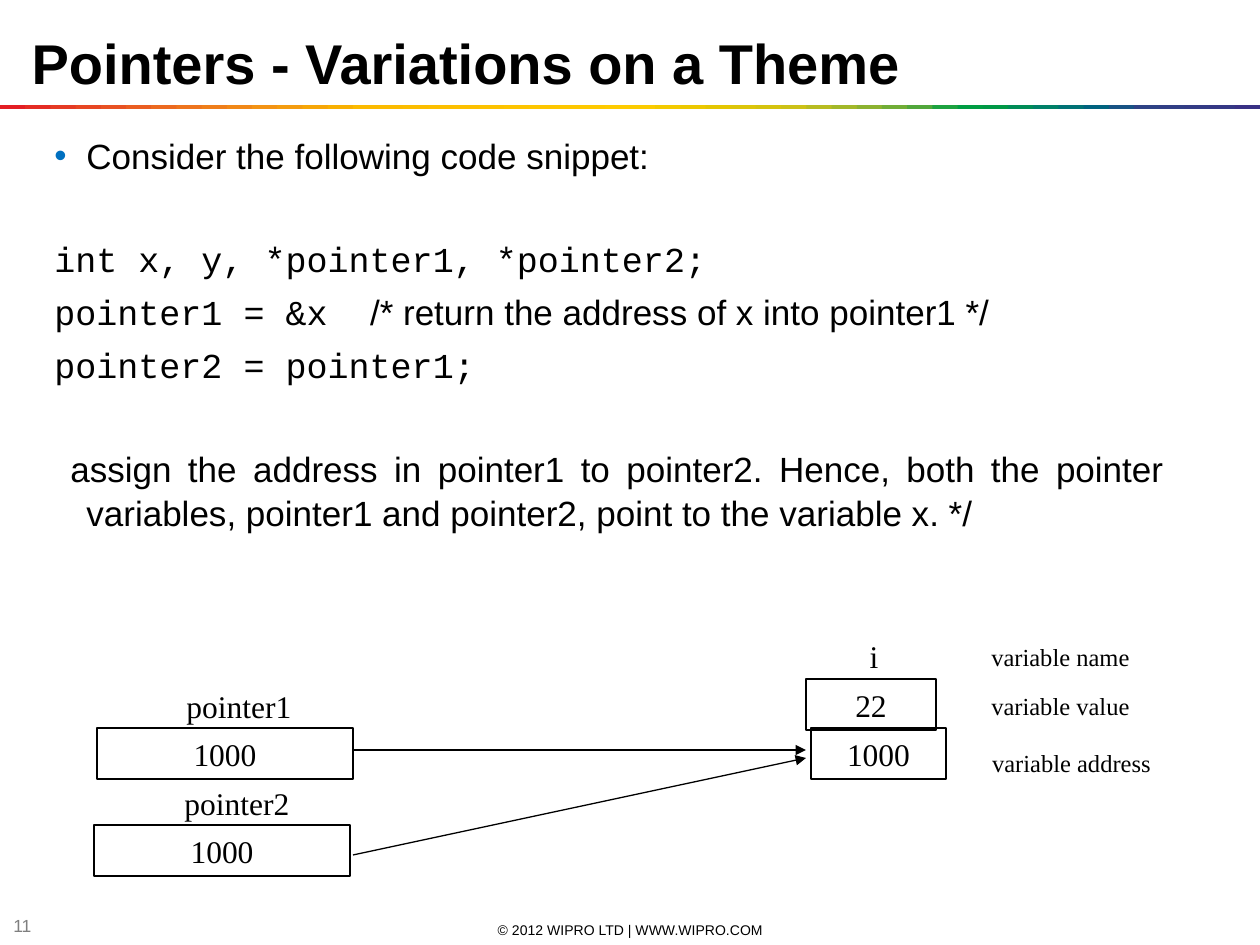
from lxml import etree
from pptx import Presentation
from pptx.dml.color import RGBColor
from pptx.enum.shapes import MSO_CONNECTOR, MSO_SHAPE
from pptx.enum.text import MSO_ANCHOR, PP_ALIGN
from pptx.oxml.ns import qn
from pptx.util import Pt

PX = 914400 / 126
PAGE_WIDTH, PAGE_HEIGHT = 1260, 945
TITLE_ONLY = 5
LEFT, CENTER, JUSTIFY = PP_ALIGN.LEFT, PP_ALIGN.CENTER, PP_ALIGN.JUSTIFY
TOP, MIDDLE, BOTTOM = MSO_ANCHOR.TOP, MSO_ANCHOR.MIDDLE, MSO_ANCHOR.BOTTOM
RECTANGLE, STRAIGHT = MSO_SHAPE.RECTANGLE, MSO_CONNECTOR.STRAIGHT

SANS, CODE, SERIF = "Arial", "Courier New", "Times New Roman"
COLORS = {"ink": "000000", "bullet": "0070C0", "number": "7F7F7F"}
RAINBOW = """
E31E24 E42C24 E53A24 E74623 E85122 EA5D21 EC691F EE741D EF7E1A F18817
F39314 F49C0F F6A607 F8B002 FBBA00 FBBB00 FBBD00 FCBF00 FCC000 FCC200
FDC400 FDC600 FDC700 FEC900 FECB00 FBCB00 F3CA00 ECC800 E4C602 DCC50A
D5C30E CCC117 B8BC21 A3B829 8CB230 71AD36 51A73B 1DA240 009D43 009846
008C57 008068 007275 00637F 185384 2E4285 313E85 333B85 353885 393185
""".split()

# Runs, first-line indent in px, space before in pt
BODY = [
    ([("Consider the following code snippet:", SANS)], -32, 0),
    ([("int x, y, *pointer1, *pointer2;", CODE)], -32, 34),
    ([("pointer1 = &x  ", CODE),
      ("/* return the address of x into pointer1 */", SANS)], -32, 5),
    ([("pointer2 = pointer1;", CODE)], -32, 5),
    ([("assign the address in pointer1 to pointer2. Hence, both the pointer "
       "variables, pointer1 and pointer2, point to the variable x. */", SANS)],
     -16, 34),
]

# Text, left, top, width
CELLS = [("22", 806, 679, 130), ("1000", 811, 728, 135),
         ("1000", 97, 728, 256), ("1000", 94, 825, 256)]
NAMES = [("i", 827, 630, 94), ("pointer1", 127, 680, 224),
         ("pointer2", 125, 777, 224)]
NOTES = [("variable name", 958, 636, 205), ("variable value", 958, 685, 205),
         ("variable address", 969, 742, 205)]
ARROWS = [((353, 750), (806, 750)), ((353, 855), (806, 758))]


def px(*lengths):
    return [round(length * PX) for length in lengths]


def color(name):
    return RGBColor.from_string(COLORS[name])


def style(font, name, size, ink="ink", bold=False):
    font.name, font.size, font.bold = name, Pt(size), bold
    font.color.rgb = color(ink)


def write(shape, text, font, size, align=CENTER, anchor=MIDDLE, ink="ink",
          bold=False):
    frame = shape.text_frame
    frame.word_wrap = True
    frame.vertical_anchor = anchor
    frame.text = text
    para = frame.paragraphs[0]
    para.alignment = align
    style(para.font, font, size, ink, bold)


def add_label(page, text, area, font, size, **options):
    write(page.shapes.add_textbox(*px(*area)), text, font, size, **options)


def add_cell(page, text, area):
    cell = page.shapes.add_shape(RECTANGLE, *px(*area))
    cell.shadow.inherit = False
    cell.fill.background()
    cell.line.color.rgb = color("ink")
    cell.line.width = Pt(0.75)
    write(cell, text, SERIF, 18)


def add_arrow(page, start, end):
    arrow = page.shapes.add_connector(STRAIGHT, *px(*start, *end))
    arrow.line.color.rgb = color("ink")
    arrow.line.width = Pt(0.75)
    line = arrow.line._get_or_add_ln()
    etree.SubElement(line, qn("a:tailEnd"), type="triangle")
    etree.SubElement(arrow._element.spPr, qn("a:effectLst"))


def add_rainbow(page):
    step = PAGE_WIDTH / len(RAINBOW)
    for index, shade in enumerate(RAINBOW):
        left = index * step
        width = min(2 * step, PAGE_WIDTH - left)
        strip = page.shapes.add_shape(RECTANGLE, *px(left, 105, width, 4))
        strip.shadow.inherit = False
        strip.fill.solid()
        strip.fill.fore_color.rgb = RGBColor.from_string(shade)
        strip.line.fill.background()


def add_bullet(para):
    properties = para._p.get_or_add_pPr()
    tint = etree.SubElement(properties, qn("a:buClr"))
    etree.SubElement(tint, qn("a:srgbClr"), val=COLORS["bullet"])
    etree.SubElement(properties, qn("a:buFont"), typeface=SANS)
    etree.SubElement(properties, qn("a:buChar"), char="•")


def add_body(page):
    frame = page.shapes.add_textbox(*px(42, 126, 1135, 735)).text_frame
    frame.word_wrap = True
    for index, (runs, indent, space) in enumerate(BODY):
        para = frame.add_paragraph() if index else frame.paragraphs[0]
        para.alignment = JUSTIFY
        para.line_spacing = 1.05
        para.space_before = Pt(space)
        properties = para._p.get_or_add_pPr()
        properties.set("marL", str(px(32)[0]))
        properties.set("indent", str(px(indent)[0]))
        if index == 0:
            add_bullet(para)
        for text, font in runs:
            span = para.add_run()
            span.text = text
            style(span.font, font, 20)


def add_title(page, text):
    title = page.shapes.title
    title.left, title.top, title.width, title.height = px(19, 21, 1042, 81)
    write(title, text, SANS, 32, align=LEFT, anchor=BOTTOM, bold=True)


def main():
    deck = Presentation()
    deck.slide_width, deck.slide_height = px(PAGE_WIDTH, PAGE_HEIGHT)
    page = deck.slides.add_slide(deck.slide_layouts[TITLE_ONLY])

    add_label(page, "© 2012 WIPRO LTD | WWW.WIPRO.COM", (431, 920, 399, 20),
              SANS, 8)
    add_label(page, "11", (1, 916, 49, 20), SANS, 10, align=LEFT, ink="number")
    add_rainbow(page)
    add_body(page)
    add_title(page, "Pointers - Variations on a Theme")

    for text, *area in CELLS:
        add_cell(page, text, (*area, 51))
    for text, *area in NAMES:
        add_label(page, text, (*area, 51), SERIF, 18)
    for text, *area in NOTES:
        add_label(page, text, (*area, 43), SERIF, 14, anchor=TOP)
    for start, end in ARROWS:
        add_arrow(page, start, end)

    deck.save("out.pptx")


if __name__ == "__main__":
    main()
